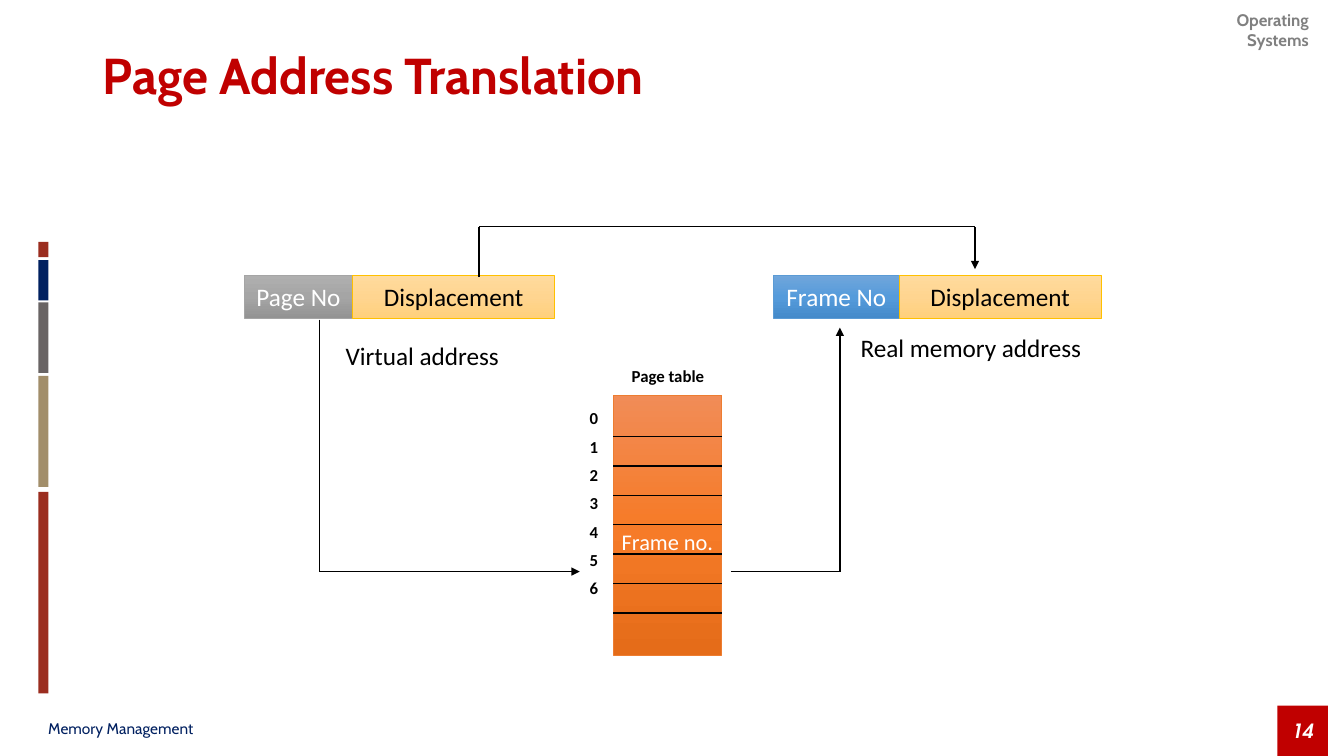
"""Build the Page Address Translation slide."""
import copy
import itertools
from dataclasses import dataclass

import pptx
import pptx.util
from lxml import etree
from pptx.dml.color import RGBColor
from pptx.enum.shapes import MSO_CONNECTOR, MSO_SHAPE
from pptx.enum.text import MSO_ANCHOR, PP_ALIGN
from pptx.oxml.ns import qn
from pptx.util import Inches, Pt


@dataclass(frozen=True)
class Theme:
    """Colours, fonts and type sizes of the slide."""
    heading: str = "Cabin"
    body: str = "Calibri"
    number: str = "TeX Gyre Adventor"
    red: str = "C00000"
    navy: str = "002060"
    rust: str = "9B2D1F"
    sand: str = "A28E6A"
    slate: str = "696464"
    muted: str = "808080"
    black: str = "000000"
    white: str = "FFFFFF"
    page: tuple = ("AFAFAF", "A5A5A5", "939393", "A5A5A5")
    displacement: tuple = ("FFDB9E", "FFD590", "FFD07C", "FFC000")
    table: tuple = ("F18C57", "F67B28", "E56C19", "ED7D31")
    frame: tuple = ("71A6DB", "559BDB", "448ACA", "5B9BD5")
    title_size: int = 36
    label_size: int = 18
    entry_size: int = 16
    number_size: int = 14
    small_size: int = 12
    footer_size: int = 11


T = Theme()


def rgb(color):
    """Turn a hex string into a colour."""
    return RGBColor.from_string(color)


def write(tf, lines, size, color, font=T.body, bold=False, italic=False,
          align=PP_ALIGN.LEFT, gap=0):
    """Fill a text frame with equally formatted paragraphs."""
    for i, line in enumerate(lines):
        p = tf.add_paragraph() if i else tf.paragraphs[0]
        p.text = line
        p.alignment = align
        if i:
            p.space_before = Pt(gap)
        p.font.name = font
        p.font.size = Pt(size)
        p.font.bold = bold
        p.font.italic = italic
        p.font.color.rgb = rgb(color)


def add_label(s, box, lines, size, color, anchor=MSO_ANCHOR.TOP, **style):
    """Add a wrapping text box."""
    tf = s.shapes.add_textbox(*map(Inches, box)).text_frame
    tf.word_wrap = True
    tf.vertical_anchor = anchor
    write(tf, lines, size, color, **style)


def add_block(s, box, color):
    """Add a flat rectangle without outline."""
    sp = s.shapes.add_shape(MSO_SHAPE.RECTANGLE, *map(Inches, box))
    sp.shadow.inherit = False
    sp.fill.solid()
    sp.fill.fore_color.rgb = rgb(color)
    sp.line.fill.background()
    return sp


def add_field(s, box, colors, text, color, size=T.label_size):
    """Add an outlined rectangle with a vertical gradient and a caption."""
    sp = add_block(s, box, colors[-1])
    sp.line.color.rgb = rgb(colors[-1])
    sp.line.width = Pt(0.5)
    sp.fill.gradient()
    sp.fill.gradient_angle = 270
    stops = sp._element.spPr.find(qn("a:gradFill")).find(qn("a:gsLst"))
    stops.insert(1, copy.deepcopy(stops[0]))
    for stop, position, shade in zip(sp.fill.gradient_stops, (0, 0.5, 1), colors):
        stop.position = position
        stop.color.rgb = rgb(shade)
    tf = sp.text_frame
    tf.word_wrap = False
    tf.vertical_anchor = MSO_ANCHOR.MIDDLE
    write(tf, [text], size, color, align=PP_ALIGN.CENTER)
    return sp


def add_path(s, points, arrow=False):
    """Join points with straight lines, ending in an arrowhead if asked."""
    for start, end in itertools.pairwise(points):
        line = s.shapes.add_connector(
            MSO_CONNECTOR.STRAIGHT, *map(Inches, start + end))
        line.line.color.rgb = rgb(T.black)
        line.line.width = Pt(1)
        etree.SubElement(line._element.spPr, qn("a:effectLst"))
        if arrow and end == points[-1]:
            etree.SubElement(line.line._get_or_add_ln(), qn("a:tailEnd"), type="triangle")


def add_title(s, text):
    """Place and format the title placeholder."""
    title = s.shapes.title
    title.left, title.top = Inches(0.92), Inches(0.05)
    title.width, title.height = Inches(11.5), Inches(1.45)
    tf = title.text_frame
    tf.vertical_anchor = MSO_ANCHOR.MIDDLE
    write(tf, [text], T.title_size, T.red, font=T.heading, bold=True)
    tf.paragraphs[0].line_spacing = 0.9


def add_frame(s):
    """Add the course name, footer, slide number and side bars."""
    add_label(s, (11.55, 0.05, 1.53, 0.3), ["Operating Systems"], T.small_size,
              T.muted, font=T.heading, bold=True, align=PP_ALIGN.RIGHT)
    add_label(s, (0.38, 7.06, 4.4, 0.33), ["Memory Management"], T.footer_size,
              T.navy, MSO_ANCHOR.MIDDLE, font=T.heading)
    tf = add_block(s, (12.67, 7, 0.5, 0.5), T.red).text_frame
    tf.vertical_anchor = MSO_ANCHOR.MIDDLE
    write(tf, ["14"], T.number_size, T.white, font=T.number, bold=True,
          italic=True, align=PP_ALIGN.CENTER)
    for top, height, color in ((2.4, 0.15, T.rust), (2.58, 0.4, T.navy),
                               (3, 0.7, T.slate), (3.73, 1.1, T.sand),
                               (4.88, 2, T.rust)):
        add_block(s, (0.38, top, 0.1, height), color)


def add_address(s, left, width, name, colors):
    """Add an address made of a number field and a displacement field."""
    top, height = 2.73, 0.43
    add_field(s, (left, top, width, height), colors, name, T.white)
    add_field(s, (left + width, top, 2, height), T.displacement,
              "Displacement", T.black)


def add_page_table(s):
    """Add the page table with its heading, row numbers and dividers."""
    left, width, rows = 6.08, 1.08, 7
    add_label(s, (5.75, 3.58, 1.75, 0.3), ["Page table"], T.small_size, T.black,
              bold=True, align=PP_ALIGN.CENTER)
    add_label(s, (5.75, 4, 0.33, 2.1), [str(i) for i in range(rows)],
              T.small_size, T.black, bold=True, gap=5.8)
    table = add_field(s, (left, 3.92, width, 2.58), T.table, "Frame no.",
                      T.white, T.entry_size)
    table.text_frame.margin_top = Inches(0.37)
    for i in range(rows):
        y = 4.33 + i * 1.75 / (rows - 1)
        add_path(s, [(left, y), (left + width, y)])


def main():
    """Build and save the slide."""
    prs = pptx.Presentation()
    prs.slide_width, prs.slide_height = Inches(13.33), Inches(7.5)
    s = prs.slides.add_slide(prs.slide_layouts[5])
    add_frame(s)
    add_title(s, "Page Address Translation")
    add_address(s, 2.42, 1.08, "Page No", T.page)
    add_address(s, 7.67, 1.25, "Frame No", T.frame)
    add_label(s, (3.33, 3.33, 2.33, 0.4), ["Virtual address"], T.label_size, T.black)
    add_label(s, (8.42, 3.25, 2.42, 0.4), ["Real memory address"], T.label_size,
              T.black, align=PP_ALIGN.CENTER)
    add_page_table(s)
    add_path(s, [(3.17, 3.17), (3.17, 5.67), (5.75, 5.67)], arrow=True)
    add_path(s, [(7.25, 5.67), (8.33, 5.67), (8.33, 3.25)], arrow=True)
    add_path(s, [(4.75, 2.75), (4.75, 2.25), (9.67, 2.25), (9.67, 2.67)], arrow=True)
    prs.save("out.pptx")


if __name__ == "__main__":
    main()
